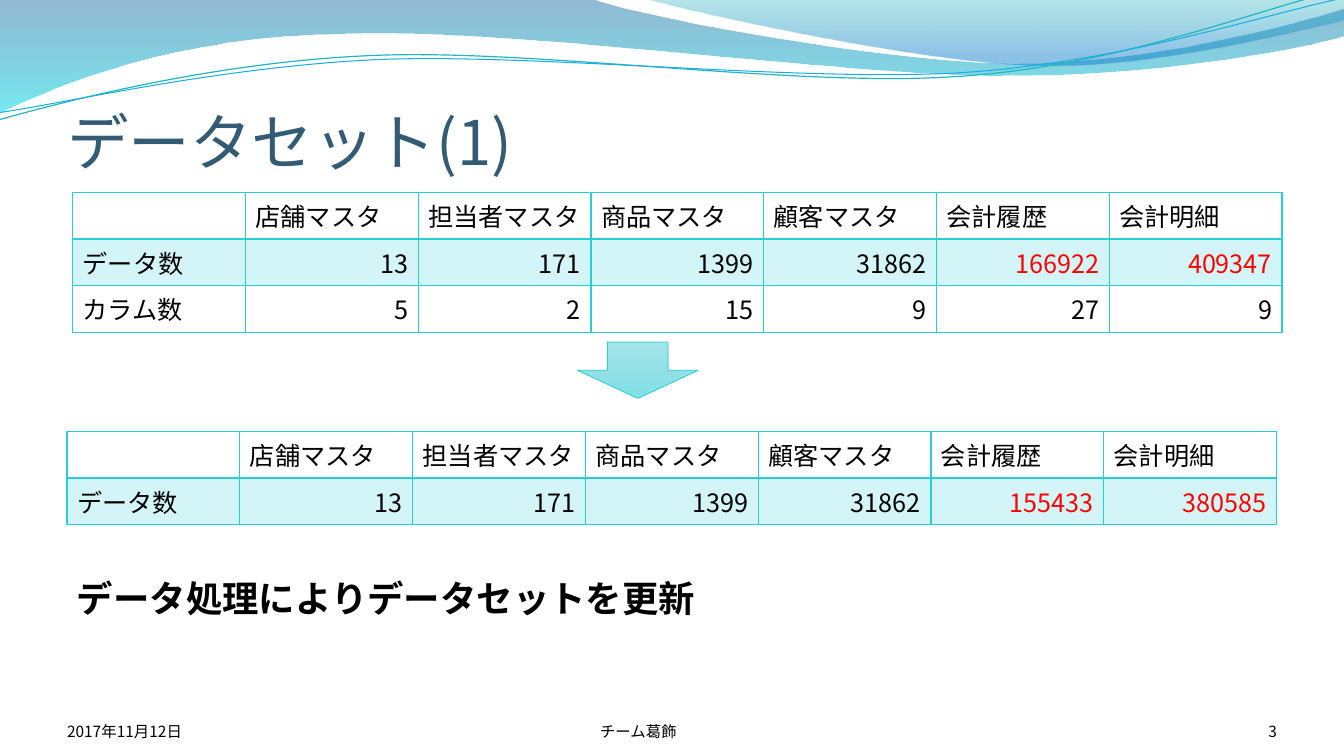
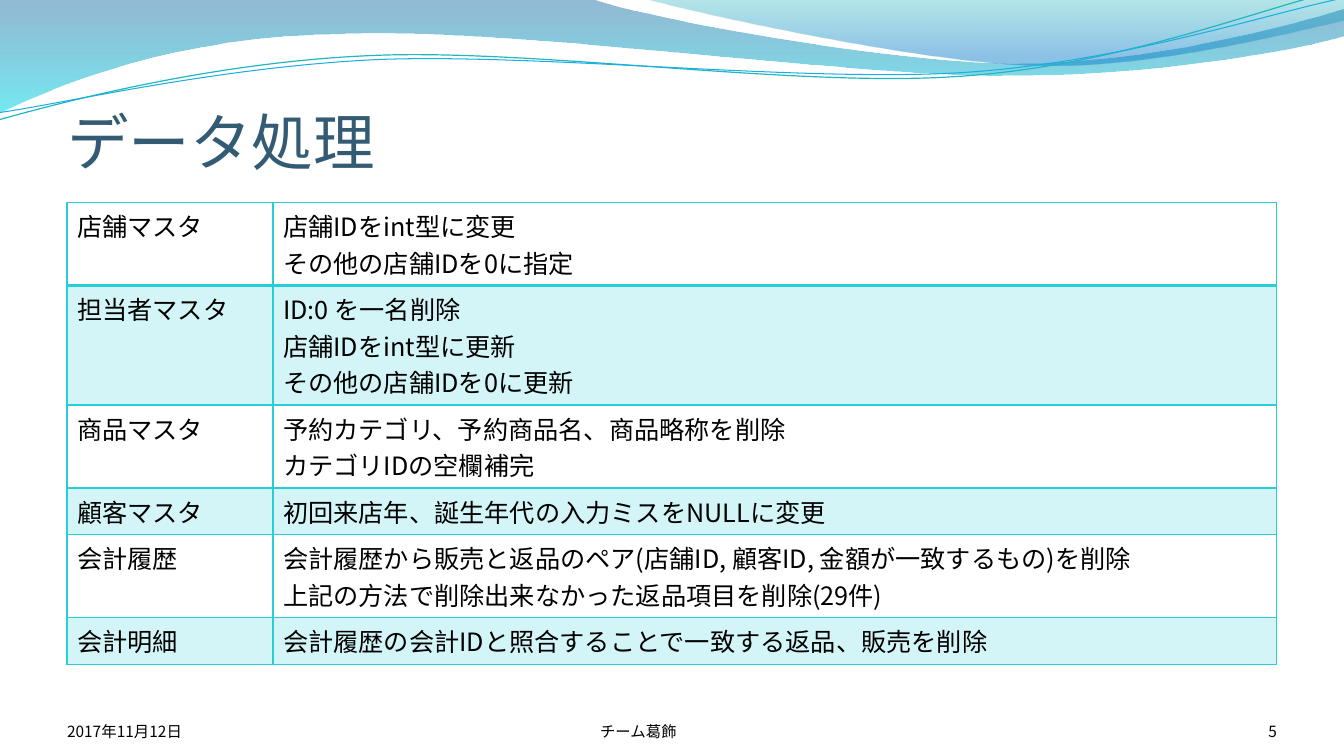
import math
from dataclasses import dataclass
from typing import Any

import lxml.etree
import pptx
import pptx.dml.color
import pptx.enum.shapes
import pptx.enum.text
import pptx.oxml.ns
import pptx.util

Cm, Pt = pptx.util.Cm, pptx.util.Pt
ALIGN = pptx.enum.text.PP_ALIGN
ANCHOR = pptx.enum.text.MSO_ANCHOR
qn = pptx.oxml.ns.qn

FONT = "Noto Sans CJK JP"
BLACK, RED, TITLE, ACCENT = "000000", "FF0000", "335B74", "27CED7"
LEFT, WIDTH = 1.69, 30.48
ROW_HEIGHT = 1.03
BAND_OPACITY = 20
LINE_TILT = 2.7


@dataclass(frozen=True)
class Stop:
    """Gradient stop; position and opacity in percent."""
    pos: int
    color: str
    opacity: int = 100


@dataclass(frozen=True)
class Wave:
    """Outline in cm: two numbers make a line, six a Bezier curve."""
    start: tuple[float, float]
    segments: tuple[tuple[float, ...], ...]
    stops: tuple[Stop, ...] = ()
    line: str = ""
    weight: float = 0
    pivot: tuple[float, float] = (0, 0)


@dataclass(frozen=True)
class TextSpec:
    """Text box geometry in cm and its text style."""
    left: float
    top: float
    width: float
    height: float
    size: float
    align: Any = ALIGN.LEFT
    bold: bool = False
    space_before: float = 0
    anchor: Any = ANCHOR.BOTTOM
    margins: tuple[float, ...] = (0, 0, 0, 0)


@dataclass(frozen=True)
class TableSpec:
    """Table position in cm, column widths, rows and red cells."""
    left: float
    top: float
    columns: tuple[float, ...]
    rows: tuple[tuple[str, ...], ...]
    red: tuple[tuple[int, int], ...] = ()


WAVES = (
    Wave((0, 0), (
        (14.91, -0.03),
        (16.1, 0.43, 22.45, 1.6, 25.68, 1.6),
        (28.88, 1.6, 32.44, 0.66, 33.86, 0.23),
        (33.88, 0.91),
        (33.3, 1.12, 29.44, 1.93, 25.25, 1.91),
        (21.06, 1.91, 12.93, 0.71, 8.71, 0.86),
        (4.37, 0.91, 1.55, 2.11, -0.05, 2.87),
        (0, 0),
    ), stops=(Stop(0, "10639E", 45), Stop(100, "00DBE7", 55))),
    Wave((16.21, -0.03), (
        (17.25, 0.28, 23.09, 1.57, 26.04, 1.65),
        (28.96, 1.75, 32.56, 0.81, 33.86, 0.53),
        (33.86, 0),
        (16.21, -0.03),
    ), stops=(Stop(0, "09AAB3", 30), Stop(80, "0578CB", 45))),
    Wave((-0.03, 3.02), (
        (1.6, 2.57, 5.33, 1.57, 9.37, 1.4),
        (13.39, 1.22, 20.04, 2.21, 24.1, 1.93),
        (28.19, 1.68, 31.78, 0.2, 33.78, -0.25),
    ), line="22B6BE", weight=0.85, pivot=(16.89, 1.46)),
    Wave((-0.03, 2.84), (
        (1.57, 2.62, 5.54, 1.68, 9.58, 1.5),
        (13.64, 1.35, 20.22, 2.08, 24.26, 1.83),
        (28.3, 1.57, 31.88, 0.36, 33.86, -0.05),
    ), line="1CADE4", weight=0.75, pivot=(16.94, 1.5)),
)

DATE = TextSpec(LEFT, 17.65, 7.9, 1.02, 11)
TEAM = TextSpec(9.88, 17.65, 12.42, 1.02, 11, ALIGN.CENTER)
NUMBER = TextSpec(29.36, 17.65, 2.82, 1.02, 11, ALIGN.RIGHT)
SUMMARY = TextSpec(LEFT, 14.4, WIDTH, 1.47, 26, bold=True, space_before=5.2,
                   anchor=ANCHOR.TOP, margins=(0.25, 0.13, 0.25, 0.13))

MASTERS = ("店舗マスタ", "担当者マスタ", "商品マスタ", "顧客マスタ", "会計履歴", "会計明細")
SEVEN_COLUMNS = (WIDTH / 7,) * 7
RED_COUNTS = ((1, 5), (1, 6))
BEFORE = TableSpec(1.83, 4.85, SEVEN_COLUMNS, (
    ("", *MASTERS),
    ("データ数", "13", "171", "1399", "31862", "166922", "409347"),
    ("カラム数", "5", "2", "15", "9", "27", "9"),
), RED_COUNTS)
AFTER = TableSpec(LEFT, 10.87, SEVEN_COLUMNS, (
    ("", *MASTERS),
    ("データ数", "13", "171", "1399", "31862", "155433", "380585"),
), RED_COUNTS)
STEPS = (
    "店舗IDをint型に変更\nその他の店舗IDを0に指定",
    "ID:0 を一名削除\n店舗IDをint型に更新\nその他の店舗IDを0に更新",
    "予約カテゴリ、予約商品名、商品略称を削除\nカテゴリIDの空欄補完",
    "初回来店年、誕生年代の入力ミスをNULLに変更",
    "会計履歴から販売と返品のペア(店舗ID, 顧客ID, 金額が一致するもの)を削除\n"
    "上記の方法で削除出来なかった返品項目を削除(29件)",
    "会計履歴の会計IDと照合することで一致する返品、販売を削除",
)
PROCESSING = TableSpec(LEFT, 5.1, (5.19, 25.29), tuple(zip(MASTERS, STEPS)))


def rgb(color: str) -> pptx.dml.color.RGBColor:
    """Turn a hex string into a colour."""
    return pptx.dml.color.RGBColor.from_string(color)


def sub(parent: Any, tag: str, **attrs: Any) -> Any:
    """Append a DrawingML child element."""
    return lxml.etree.SubElement(
        parent, qn(tag), {k: str(v) for k, v in attrs.items()})


def add_run(p: Any, text: str, size: float, color: str = BLACK,
            bold: bool = False) -> None:
    """Add one formatted run."""
    r = p.add_run()
    r.text = text
    r.font.size, r.font.bold, r.font.name = Pt(size), bold, FONT
    r.font.color.rgb = rgb(color)
    sub(r.font._element, "a:ea", typeface=FONT)


def set_frame(tf: Any, anchor: Any, margins: tuple[float, ...]) -> None:
    """Set wrapping, anchor and left, top, right, bottom insets."""
    tf.word_wrap, tf.vertical_anchor = True, anchor
    tf.auto_size = pptx.enum.text.MSO_AUTO_SIZE.NONE
    tf.margin_left, tf.margin_top, tf.margin_right, tf.margin_bottom = map(
        Cm, margins)


def set_gradient(sp: Any, stops: tuple[Stop, ...]) -> None:
    """Fill a shape with a gradient from top to bottom."""
    sp.fill.gradient()
    sp.fill.gradient_angle = 270
    gs_list = sp.element.spPr.find(".//" + qn("a:gsLst"))
    for gs in list(gs_list):
        gs_list.remove(gs)
    for stop in stops:
        gs = sub(gs_list, "a:gs", pos=stop.pos * 1000)
        clr = sub(gs, "a:srgbClr", val=stop.color)
        if stop.opacity < 100:
            sub(clr, "a:alpha", val=stop.opacity * 1000)


def level(point: tuple[float, ...], wave: Wave) -> tuple[int, int]:
    """Place a point as it lies before a line wave is tilted."""
    x, y = point
    if wave.line:
        angle = math.radians(LINE_TILT)
        cx, cy = wave.pivot
        dx, dy = x - cx, y - cy
        x = cx + dx * math.cos(angle) - dy * math.sin(angle)
        y = cy + dx * math.sin(angle) + dy * math.cos(angle)
    return Cm(x), Cm(y)


def build_wave(slide: Any, wave: Wave) -> Any:
    """Build the outline and join point triples into Bezier curves."""
    points = [level(seg[i:i + 2], wave) for seg in wave.segments
              for i in range(0, len(seg), 2)]
    builder = slide.shapes.build_freeform(*level(wave.start, wave))
    builder.add_line_segments(points, close=bool(wave.stops))
    sp = builder.convert_to_shape()
    steps = iter(list(sp.element.spPr.iter(qn("a:lnTo"))))
    for seg in wave.segments:
        first = next(steps)
        if len(seg) == 6:
            curve = lxml.etree.Element(qn("a:cubicBezTo"))
            first.addprevious(curve)
            for step in (first, next(steps), next(steps)):
                curve.append(step[0])
                step.getparent().remove(step)
    return sp


def add_waves(slide: Any) -> None:
    """Build the waves and place them behind the layout's placeholders."""
    tree = slide.slide_layout.shapes.element
    for i, wave in enumerate(WAVES):
        sp = build_wave(slide, wave)
        sp.name = f"Wave {i + 1}"
        sp.shadow.inherit = False
        if wave.stops:
            set_gradient(sp, wave.stops)
            sp.line.fill.background()
        else:
            sp.rotation = 360 - LINE_TILT
            sp.fill.background()
            sp.line.color.rgb = rgb(wave.line)
            sp.line.width = Pt(wave.weight)
        sp.element.nvSpPr.cNvPr.set("id", str(100 + i))
        tree.insert(2 + i, sp.element)


def add_text(slide: Any, spec: TextSpec, text: str) -> None:
    """Add a text box with one line."""
    sp = slide.shapes.add_textbox(
        *map(Cm, (spec.left, spec.top, spec.width, spec.height)))
    set_frame(sp.text_frame, spec.anchor, spec.margins)
    p = sp.text_frame.paragraphs[0]
    p.alignment, p.space_before = spec.align, Pt(spec.space_before)
    add_run(p, text, spec.size, bold=spec.bold)


def add_slide(prs: Any, title: str, number: int) -> Any:
    """Add a slide with its title and footers."""
    slide = prs.slides.add_slide(prs.slide_layouts[5])
    sp = slide.shapes.title
    sp.left, sp.top, sp.width, sp.height = map(Cm, (LEFT, 1.3, WIDTH, 3.18))
    set_frame(sp.text_frame, ANCHOR.BOTTOM, (0, 0.13, 0, 0))
    p = sp.text_frame.paragraphs[0]
    p.alignment, p.line_spacing = ALIGN.LEFT, 0.8
    add_run(p, title, 44, TITLE)
    for spec, text in ((DATE, "2017年11月12日"), (TEAM, "チーム葛飾"),
                       (NUMBER, str(number))):
        add_text(slide, spec, text)
    return slide


def style_cell(cell: Any, row: int) -> None:
    """Draw cell borders and the tint of every second row."""
    tc_pr = cell._tc.get_or_add_tcPr()
    for side in "LRTB":
        weight = 2 if row == 0 and side == "B" else 1
        ln = sub(tc_pr, f"a:ln{side}", w=Pt(weight))
        sub(sub(ln, "a:solidFill"), "a:srgbClr", val=ACCENT)
    if row % 2:
        cell.fill.solid()
        cell.fill.fore_color.rgb = rgb(ACCENT)
        clr = tc_pr.find(qn("a:solidFill")).find(qn("a:srgbClr"))
        sub(clr, "a:alpha", val=BAND_OPACITY * 1000)
    else:
        cell.fill.background()


def add_table(slide: Any, spec: TableSpec) -> None:
    """Add a banded table; numbers are aligned right."""
    n_rows = len(spec.rows)
    table = slide.shapes.add_table(
        n_rows, len(spec.columns), Cm(spec.left), Cm(spec.top),
        Cm(sum(spec.columns)), Cm(n_rows * ROW_HEIGHT)).table
    table.first_row = table.horz_banding = False
    for column, width in zip(table.columns, spec.columns):
        column.width = Cm(width)
    for i, row in enumerate(spec.rows):
        for j, text in enumerate(row):
            cell = table.cell(i, j)
            style_cell(cell, i)
            color = RED if (i, j) in spec.red else BLACK
            tf = cell.text_frame
            for k, line in enumerate(text.splitlines()):
                p = tf.add_paragraph() if k else tf.paragraphs[0]
                p.alignment = ALIGN.RIGHT if line.isdigit() else ALIGN.LEFT
                add_run(p, line, 18, color)


def add_down_arrow(slide: Any) -> None:
    """Add the arrow between the two data set tables."""
    sp = slide.shapes.add_shape(
        pptx.enum.shapes.MSO_SHAPE.DOWN_ARROW,
        *map(Cm, (14.55, 8.62, 3.05, 1.42)))
    sp.shadow.inherit = False
    set_gradient(sp, (Stop(0, "A2E5EB"), Stop(50, "94E0E6"),
                      Stop(100, "7FE0E7")))
    sp.line.color.rgb, sp.line.width = rgb(ACCENT), Pt(0.5)


prs = pptx.Presentation()
prs.slide_width, prs.slide_height = Cm(33.87), Cm(19.05)
dataset = add_slide(prs, "データセット(1)", 3)
add_waves(dataset)
add_table(dataset, BEFORE)
add_down_arrow(dataset)
add_table(dataset, AFTER)
add_text(dataset, SUMMARY, "データ処理によりデータセットを更新")
add_table(add_slide(prs, "データ処理", 5), PROCESSING)
prs.save("out.pptx")
